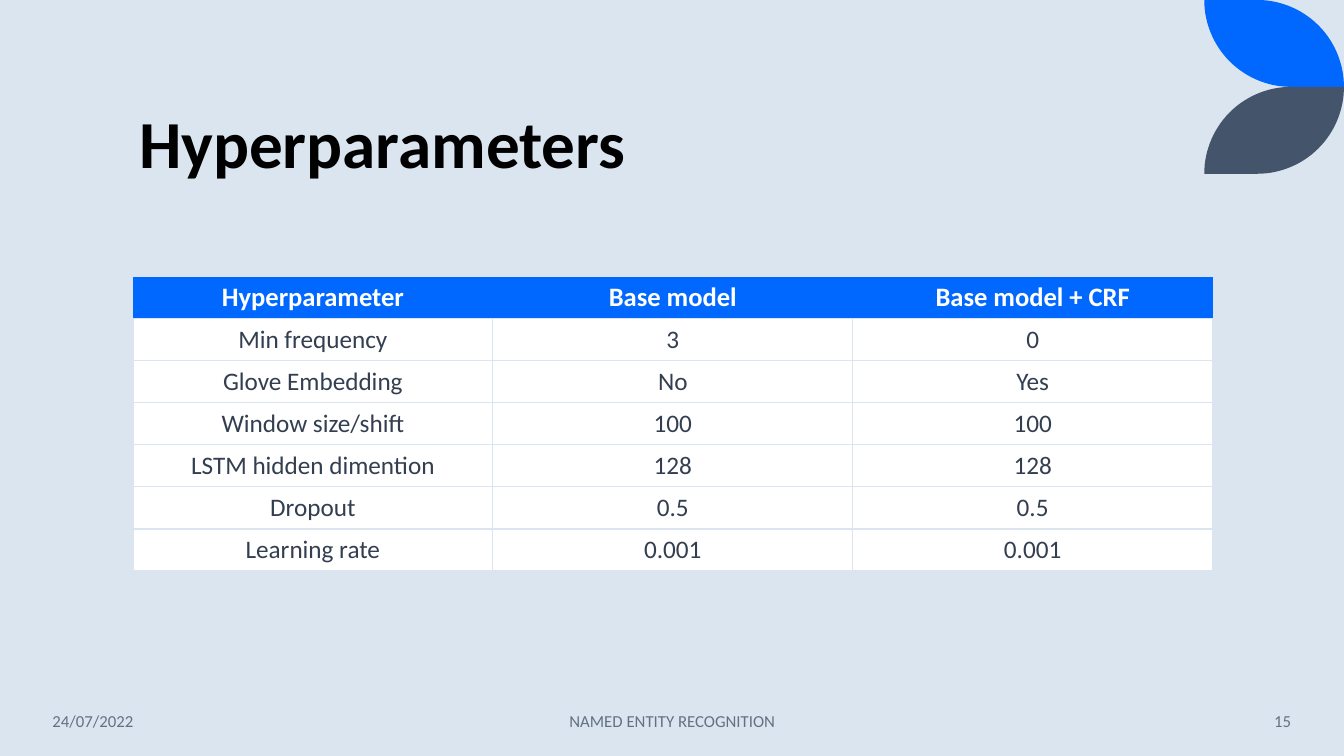
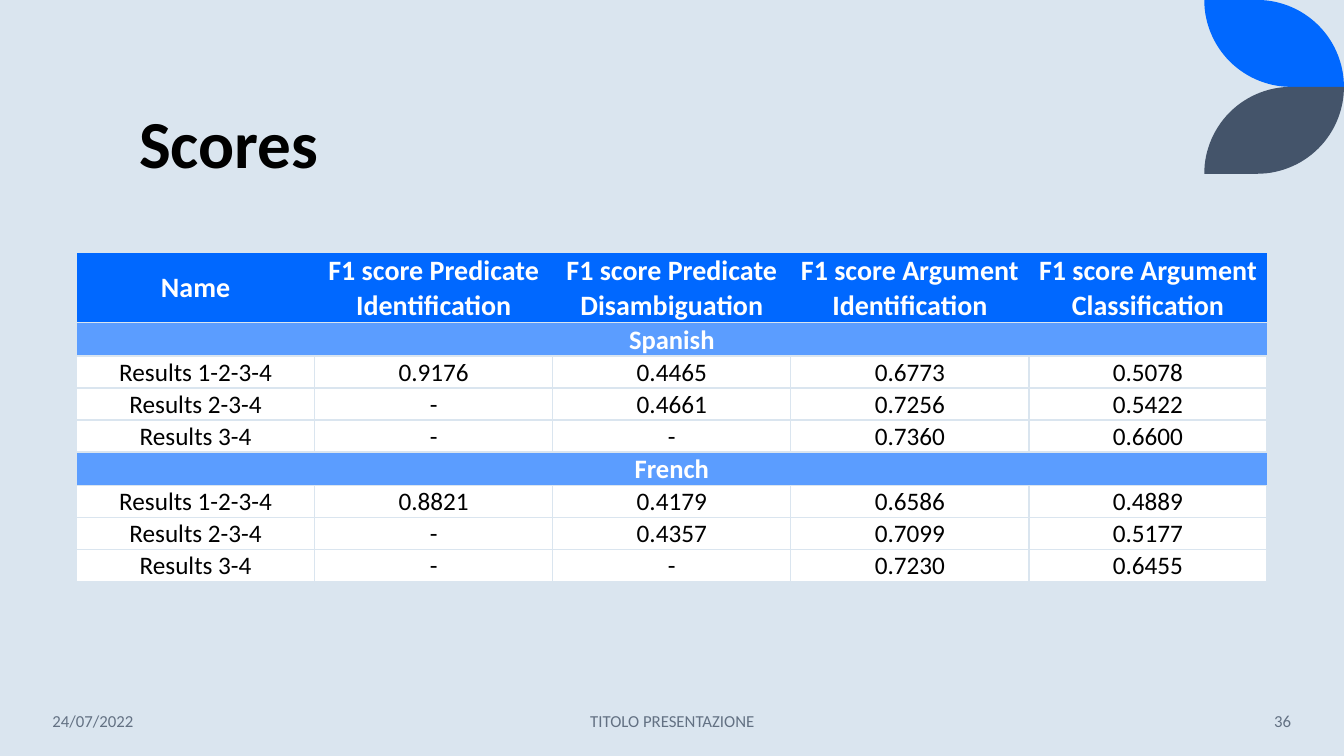
"""Build two table slides on hyperparameters and scores."""
import math

from lxml import etree
from pptx import Presentation
from pptx import util as u
from pptx.dml.color import RGBColor
from pptx.enum import text
from pptx.oxml import ns

HUES = {
    "back": "DAE5EF", "blue": "0068FF", "sky": "5B9DFF", "slate": "44546A",
    "white": "FFFFFF", "black": "000000", "ink": "333F50", "gray": "637183",
}
FACE = "Calibri"
WIDE, HIGH = 33.87, 19.05
LEAF_W, LEAF_H = 3.52, 2.19
PLAIN = "{2D5ABB26-0587-4C30-8999-92F81FD0307C}"

SLIDES = [
    {
        "title": "Hyperparameters", "foot": "NAMED ENTITY RECOGNITION", "page": "15",
        "at": (3.35, 6.96), "col": 9.07, "tight": False,
        "head": (1.06, 19), "body": (1.06, 18, "ink"),
        "rows": [
            ["Hyperparameter", "Base model", "Base model + CRF"],
            ["Min frequency", "3", "0"],
            ["Glove Embedding", "No", "Yes"],
            ["Window size/shift", "100", "100"],
            ["LSTM hidden dimention", "128", "128"],
            ["Dropout", "0.5", "0.5"],
            ["Learning rate", "0.001", "0.001"],
        ],
    },
    {
        "title": "Scores", "foot": "TITOLO PRESENTAZIONE", "page": "36",
        "at": (1.93, 6.37), "col": 6, "tight": True,
        "head": (1.75, 20), "body": (0.8, 18, "black"),
        "rows": [
            ["Name", "F1 score Predicate Identification",
             "F1 score Predicate Disambiguation",
             "F1 score Argument Identification",
             "F1 score Argument Classification"],
            ["Spanish"],
            ["Results 1-2-3-4", "0.9176", "0.4465", "0.6773", "0.5078"],
            ["Results 2-3-4", "-", "0.4661", "0.7256", "0.5422"],
            ["Results 3-4", "-", "-", "0.7360", "0.6600"],
            ["French"],
            ["Results 1-2-3-4", "0.8821", "0.4179", "0.6586", "0.4889"],
            ["Results 2-3-4", "-", "0.4357", "0.7099", "0.5177"],
            ["Results 3-4", "-", "-", "0.7230", "0.6455"],
        ],
    },
]


def style(para, size, hue, bold=False, align=text.PP_ALIGN.CENTER):
    """Set the font and alignment of a paragraph."""
    para.alignment = align
    para.font.name, para.font.size, para.font.bold = FACE, u.Pt(size), bold
    para.font.color.rgb = RGBColor.from_string(HUES[hue])


def edge(cell, sides):
    """Draw thin borders on the given sides of a cell."""
    props = cell._tc.get_or_add_tcPr()
    for i, side in enumerate(sides):
        line = etree.Element(ns.qn("a:ln" + side), w=str(u.Pt(1)))
        fill = etree.SubElement(line, ns.qn("a:solidFill"))
        etree.SubElement(fill, ns.qn("a:srgbClr"), val=HUES["back"])
        props.insert(i, line)


deck = Presentation()
deck.slide_width, deck.slide_height = u.Cm(WIDE), u.Cm(HIGH)
back = deck.slide_master.background.fill
back.solid()
back.fore_color.rgb = RGBColor.from_string(HUES["back"])

left = WIDE - LEAF_W
turns = [math.radians(a) for a in range(0, 91, 3)]
upper = [(left + LEAF_W - LEAF_H + LEAF_H * math.sin(a),
          LEAF_H - LEAF_H * math.cos(a)) for a in turns]
lower = [(left + LEAF_H - LEAF_H * math.sin(a),
          LEAF_H * math.cos(a)) for a in turns]
leaf = [(left, 0)] + upper + lower
flip = [(x, 2 * LEAF_H - y) for x, y in leaf]

for data in SLIDES:
    slide = deck.slides.add_slide(deck.slide_layouts[5])
    for pts, hue in ((leaf, "blue"), (flip, "slate")):
        pts = [(u.Cm(x), u.Cm(y)) for x, y in pts]
        draw = slide.shapes.build_freeform(*pts[0])
        draw.add_line_segments(pts[1:], close=True)
        shape = draw.convert_to_shape()
        shape.shadow.inherit = False
        shape.fill.solid()
        shape.fill.fore_color.rgb = RGBColor.from_string(HUES[hue])
        shape.line.fill.background()

    title = slide.shapes.title
    title.left, title.top = u.Cm(3.25), u.Cm(1.07)
    title.width, title.height = u.Cm(27.15), u.Cm(3.68)
    title.text_frame.text = data["title"]
    title.text_frame.vertical_anchor = text.MSO_ANCHOR.BOTTOM
    para = title.text_frame.paragraphs[0]
    para.line_spacing = 0.9
    style(para, 48, "black", True, text.PP_ALIGN.LEFT)

    rows = data["rows"]
    count = len(rows[0])
    x, y = data["at"]
    frame = slide.shapes.add_table(
        len(rows), count, u.Cm(x), u.Cm(y), u.Cm(data["col"] * count), u.Cm(7))
    table = frame.table
    table.horz_banding = table.first_row = False
    table._tbl.tblPr.find(ns.qn("a:tableStyleId")).text = PLAIN
    for col in table.columns:
        col.width = u.Cm(data["col"])
    for r, row in enumerate(rows):
        band = len(row) == 1
        if r == 0:
            (tall, size), hue, fill = data["head"], "white", "blue"
        elif band:
            tall, size, hue, fill = 0.84, 19, "white", "sky"
        else:
            (tall, size, hue), fill = data["body"], "white"
        table.rows[r].height = u.Cm(tall)
        if band:
            table.cell(r, 0).merge(table.cell(r, count - 1))
        for c, words in enumerate(row):
            cell = table.cell(r, c)
            cell.text = words
            cell.vertical_anchor = text.MSO_ANCHOR.MIDDLE
            if data["tight"]:
                cell.margin_left = cell.margin_right = cell.margin_top = u.Cm(0.03)
                cell.margin_bottom = 0
            style(cell.text_frame.paragraphs[0], size, hue, fill != "white")
        for cell in table.rows[r].cells:
            cell.fill.solid()
            cell.fill.fore_color.rgb = RGBColor.from_string(HUES[fill])
            edge(cell, "LRTB" if fill == "white" else "TB")

    for words, x, wide, align in (
            ("24/07/2022", 1.07, 4.72, text.PP_ALIGN.LEFT),
            (data["foot"], 11.23, 11.43, text.PP_ALIGN.CENTER),
            (data["page"], 28.19, 4.6, text.PP_ALIGN.RIGHT)):
        box = slide.shapes.add_textbox(u.Cm(x), u.Cm(17.65), u.Cm(wide), u.Cm(1.02))
        box.text_frame.word_wrap = True
        box.text_frame.vertical_anchor = text.MSO_ANCHOR.MIDDLE
        box.text_frame.text = words
        style(box.text_frame.paragraphs[0], 12, "gray", align=align)

deck.save("out.pptx")
